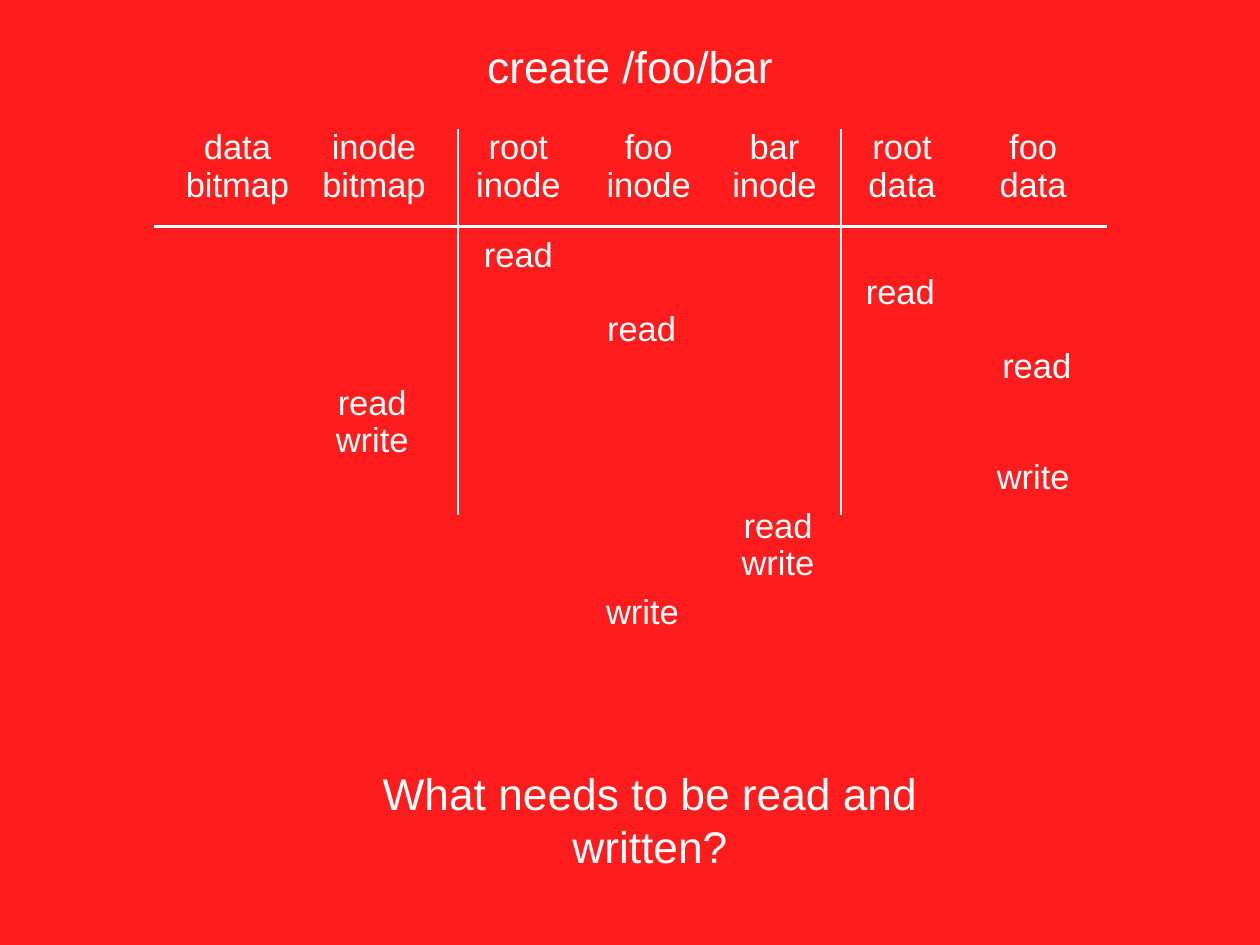
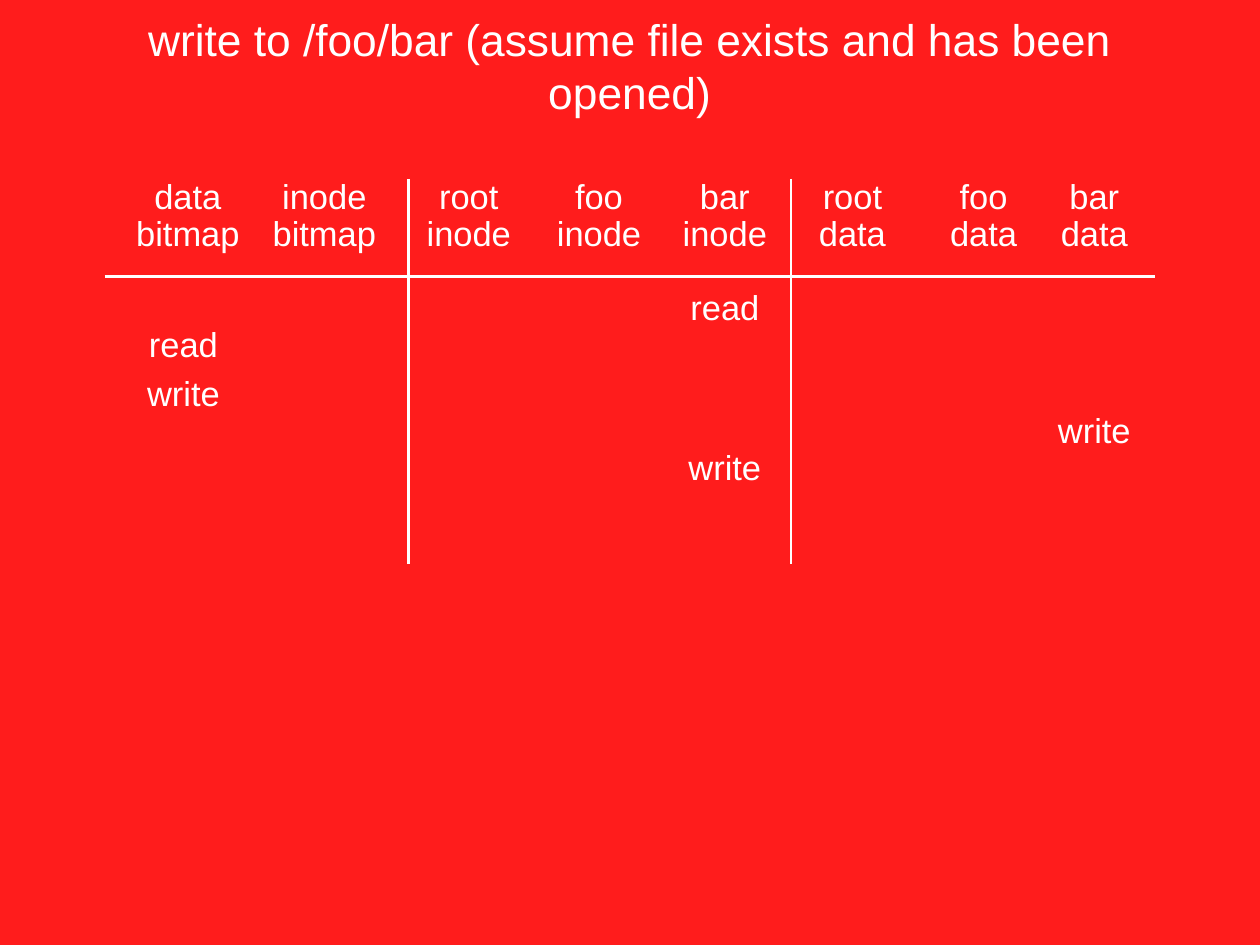
from dataclasses import dataclass

import lxml.etree
import pptx
import pptx.dml.color
import pptx.enum.shapes
import pptx.enum.text
import pptx.oxml.ns
import pptx.presentation
import pptx.slide
import pptx.util

Inches = pptx.util.Inches
Anchor = pptx.enum.text.MSO_ANCHOR

# Shared style
COLORS = {"background": "FF1C1C", "foreground": "FFFFFF"}
FONT = "Arial"
TITLE_SIZE, WORD_SIZE = 36, 28
WORD_HEIGHT = 0.58
WORD_WIDTHS = {
    "data": 0.9, "inode": 1.1, "bitmap": 1.33, "root": 0.79,
    "foo": 0.67, "bar": 0.71, "read": 0.92, "write": 0.95,
}

# Shared grid, measured from its top left corner
COLUMNS = {
    "data bitmap": 0.94, "inode bitmap": 2.48,
    "root inode": 4.11, "foo inode": 5.58, "bar inode": 7.0,
    "root data": 8.44, "foo data": 9.92, "bar data": 11.17,
}
HEADER_TOPS = (-0.1, 0.32)
DIVIDERS = (3.43, 7.75)
DIVIDER_HEIGHT = 4.35
RULE_TOP = 1.1
ROW_STEP = 1.25 / 3


@dataclass(frozen=True)
class Box:
    left: float
    top: float
    width: float
    height: float


@dataclass(frozen=True)
class Operation:
    word: str
    column: str
    row: float
    nudge: float = 0.0


@dataclass(frozen=True)
class Timeline:
    title: str
    title_box: Box
    left: float
    top: float
    width: float
    column_count: int
    first_row: float
    operations: tuple[Operation, ...]


# Rows that follow a pause start a third of a step late
CREATE = Timeline(
    "create /foo/bar", Box(5.39, 0.38, 3.44, 0.72),
    left=1.74, top=1.46, width=10.75, column_count=7, first_row=1.12,
    operations=(
        Operation("read", "root inode", 0),
        Operation("read", "root data", 1, -0.02),
        Operation("read", "foo inode", 2, -0.08),
        Operation("read", "foo data", 3, 0.04),
        Operation("read", "inode bitmap", 4, -0.02),
        Operation("write", "inode bitmap", 5, -0.02),
        Operation("write", "foo data", 6),
        Operation("read", "bar inode", 7 + 1 / 3, 0.04),
        Operation("write", "bar inode", 8 + 1 / 3, 0.04),
        Operation("write", "foo inode", 9 + 2 / 3, -0.07),
    ),
)
WRITE = Timeline(
    "write to /foo/bar (assume file exists and has been opened)",
    Box(0.85, 0.38, 12.51, 0.72),
    left=1.18, top=2.02, width=11.85, column_count=8, first_row=1.15,
    operations=(
        Operation("read", "bar inode", 0),
        Operation("read", "data bitmap", 1, -0.05),
        Operation("write", "data bitmap", 2 + 1 / 3, -0.05),
        Operation("write", "bar data", 3 + 1 / 3),
        Operation("write", "bar inode", 4 + 1 / 3),
    ),
)


def color(name: str) -> pptx.dml.color.RGBColor:
    return pptx.dml.color.RGBColor.from_string(COLORS[name])


def add_text(slide: pptx.slide.Slide, text: str, box: Box, size: int, wrap: bool = True,
             anchor: Anchor = Anchor.MIDDLE, insets: tuple[float, float] = (0.06, 0.06)) -> None:
    shape = slide.shapes.add_textbox(
        Inches(box.left), Inches(box.top), Inches(box.width), Inches(box.height))
    frame = shape.text_frame
    frame.text = text
    frame.word_wrap = wrap
    frame.auto_size = pptx.enum.text.MSO_AUTO_SIZE.SHAPE_TO_FIT_TEXT
    frame.vertical_anchor = anchor
    frame.margin_left = frame.margin_right = Inches(insets[0])
    frame.margin_top = frame.margin_bottom = Inches(insets[1])
    paragraph = frame.paragraphs[0]
    paragraph.alignment = pptx.enum.text.PP_ALIGN.CENTER
    font = paragraph.runs[0].font
    font.name = FONT
    font.size = pptx.util.Pt(size)
    font.color.rgb = color("foreground")


def add_word(slide: pptx.slide.Slide, word: str, center: float, top: float) -> None:
    width = WORD_WIDTHS[word]
    add_text(slide, word, Box(center - width / 2, top, width, WORD_HEIGHT), WORD_SIZE, wrap=False)


def add_line(slide: pptx.slide.Slide, left: float, top: float, right: float, bottom: float) -> None:
    line = slide.shapes.add_connector(
        pptx.enum.shapes.MSO_CONNECTOR.STRAIGHT,
        Inches(left), Inches(top), Inches(right), Inches(bottom))
    line.line.color.rgb = color("foreground")
    line.line.width = pptx.util.Pt(2)
    lxml.etree.SubElement(line._element.spPr, pptx.oxml.ns.qn("a:effectLst"))


def add_timeline(presentation: pptx.presentation.Presentation,
                 timeline: Timeline) -> pptx.slide.Slide:
    slide = presentation.slides.add_slide(presentation.slide_layouts[6])
    slide.background.fill.solid()
    slide.background.fill.fore_color.rgb = color("background")
    left, top = timeline.left, timeline.top

    # Column headers
    for name in list(COLUMNS)[:timeline.column_count]:
        for word, offset in zip(name.split(), HEADER_TOPS):
            add_word(slide, word, left + COLUMNS[name], top + offset)

    # Header rule and group dividers
    add_line(slide, left, top + RULE_TOP, left + timeline.width, top + RULE_TOP)
    for divider in DIVIDERS:
        add_line(slide, left + divider, top, left + divider, top + DIVIDER_HEIGHT)

    # Title and operations
    add_text(slide, timeline.title, timeline.title_box, TITLE_SIZE)
    for operation in timeline.operations:
        add_word(slide, operation.word, left + COLUMNS[operation.column] + operation.nudge,
                 top + timeline.first_row + operation.row * ROW_STEP)
    return slide


def main() -> None:
    presentation = pptx.Presentation()
    presentation.slide_width = Inches(14.22)
    presentation.slide_height = Inches(10.67)

    create_slide = add_timeline(presentation, CREATE)
    add_text(create_slide, "What needs to be read and written?", Box(3.46, 8.6, 7.75, 0.71),
             TITLE_SIZE, anchor=Anchor.TOP, insets=(0.1, 0.05))
    add_timeline(presentation, WRITE)

    presentation.save("out.pptx")


if __name__ == "__main__":
    main()
